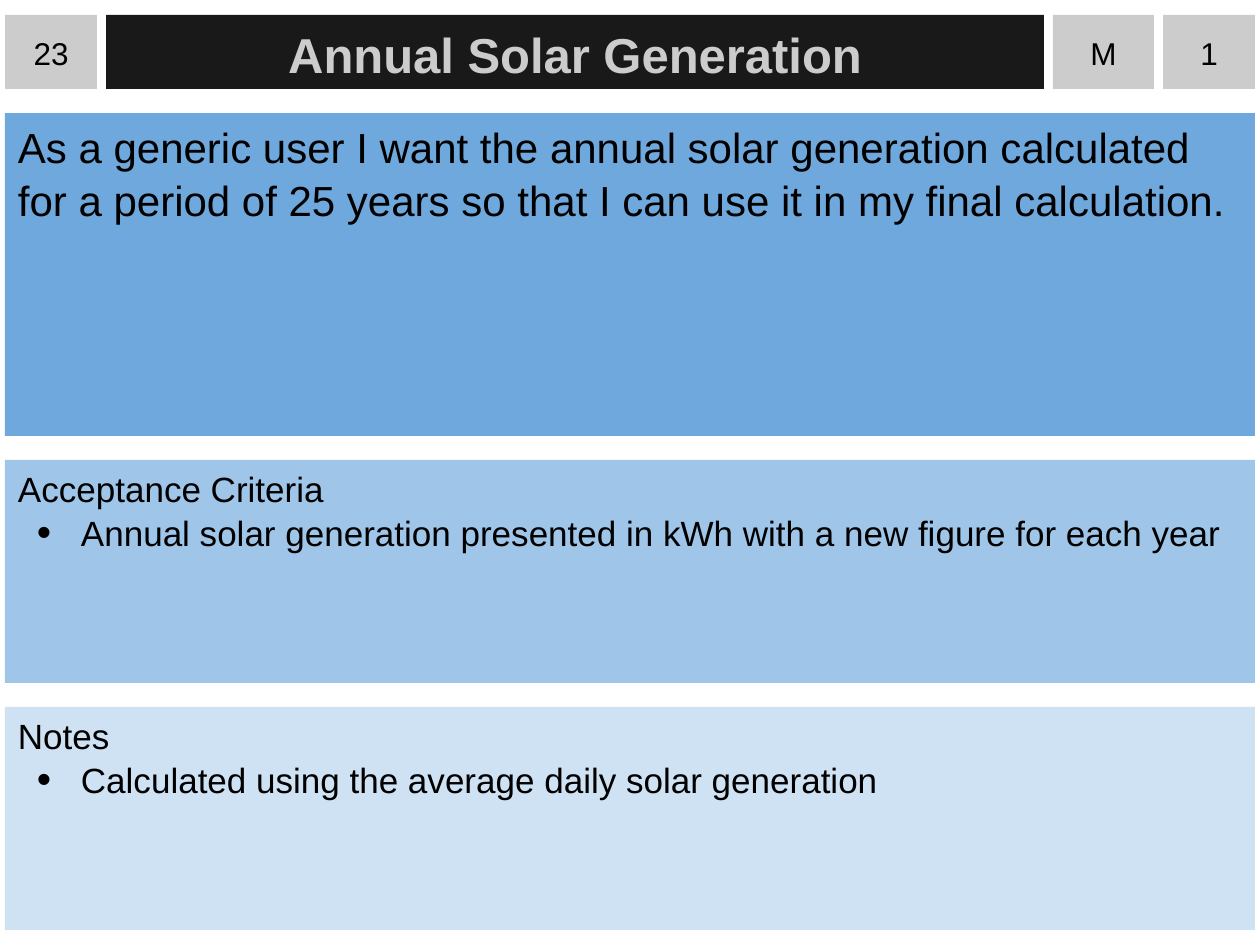
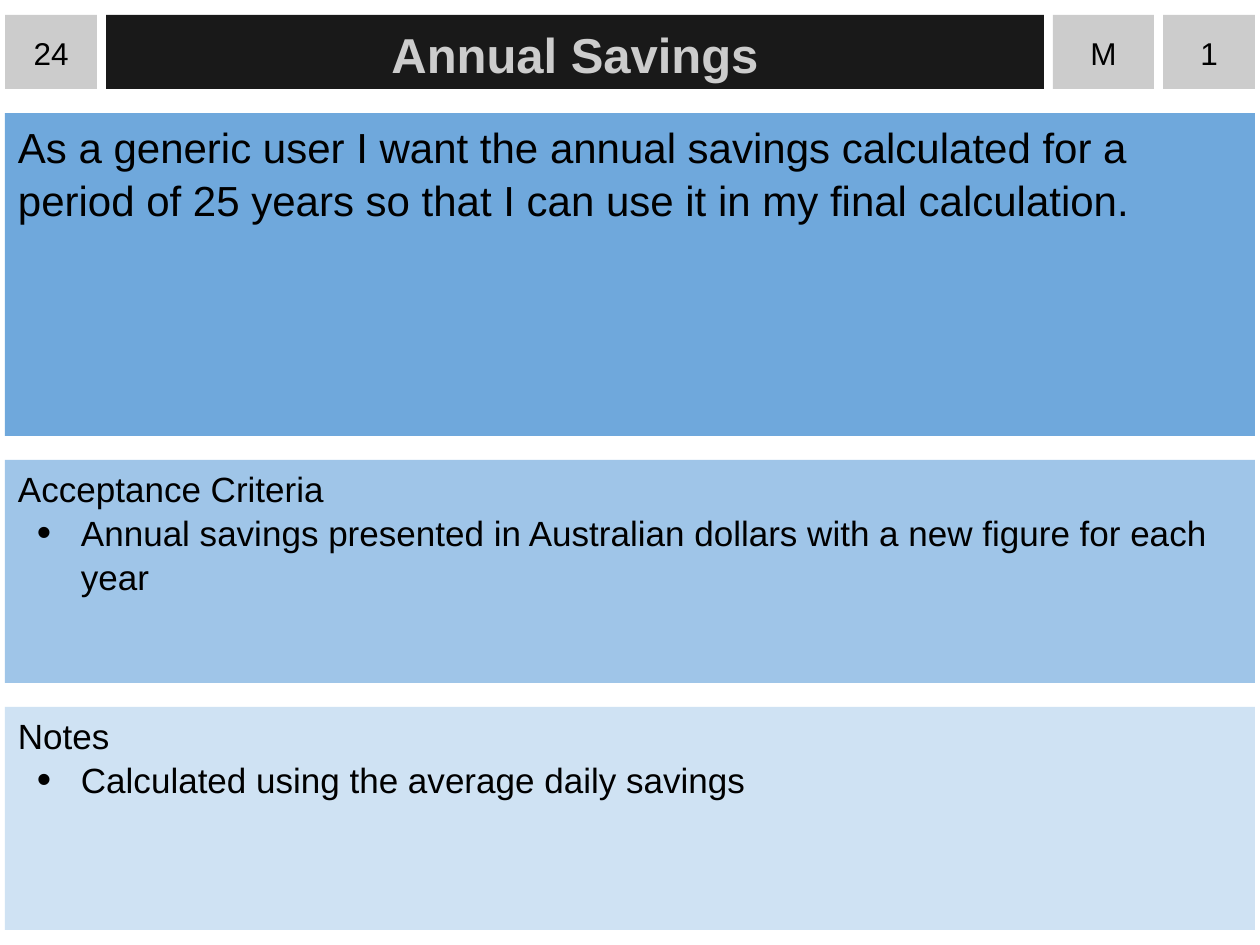
from lxml import etree
from pptx import Presentation
from pptx import util as u
from pptx.dml.color import RGBColor
from pptx.enum import shapes, text
from pptx.oxml import ns

PX = u.Inches(1) / 126
FONT = "Arial"
BLACK = RGBColor(0x00, 0x00, 0x00)
CHARCOAL = RGBColor(0x19, 0x19, 0x19)
GREY = RGBColor(0xCC, 0xCC, 0xCC)
STORY_BLUE = RGBColor(0x6F, 0xA8, 0xDC)
CRITERIA_BLUE = RGBColor(0x9F, 0xC5, 0xE8)
NOTES_BLUE = RGBColor(0xCF, 0xE2, 0xF3)

LEFT, WIDTH = 5, 1250
HEADER_TOP, HEADER_HEIGHT, HEADER_GAP = 15, 74, 9
PANEL_GAP = 24
STORY_HEIGHT, LIST_HEIGHT = 323, 223
BADGE_WIDTH, TITLE_WIDTH, PRIORITY_WIDTH = 92, 938, 101

CARDS = [
    {
        "number": "23",
        "title": "Annual Solar Generation",
        "priority": "M",
        "points": "1",
        "story": "As a generic user I want the annual solar generation calculated "
                 "for a period of 25 years so that I can use it in my final calculation.",
        "criteria": ["Annual solar generation presented in kWh with a new figure for each year"],
        "notes": ["Calculated using the average daily solar generation"],
    },
    {
        "number": "24",
        "title": "Annual Savings",
        "priority": "M",
        "points": "1",
        "story": "As a generic user I want the annual savings calculated "
                 "for a period of 25 years so that I can use it in my final calculation.",
        "criteria": ["Annual savings presented in Australian dollars with a new figure for each year"],
        "notes": ["Calculated using the average daily savings"],
    },
]


def px(length):
    """Turn a length in px into EMU."""
    return u.Emu(round(length * PX))


def add_box(page, left, top, width, height, fill, side_inset=13, top_inset=6):
    """Add a plain filled rectangle ready to hold text."""
    box = page.shapes.add_shape(
        shapes.MSO_SHAPE.RECTANGLE, px(left), px(top), px(width), px(height))
    box.shadow.inherit = False
    box.fill.solid()
    box.fill.fore_color.rgb = fill
    box.line.fill.background()
    frame = box.text_frame
    frame.word_wrap = True
    frame.margin_left = frame.margin_right = px(side_inset)
    frame.margin_top, frame.margin_bottom = px(top_inset), px(6)
    return box


def write_lines(box, lines, size, color=BLACK, bold=False,
                align=text.PP_ALIGN.LEFT, anchor=text.MSO_ANCHOR.TOP):
    """Write one paragraph per line and format its runs."""
    frame = box.text_frame
    frame.text = "\n".join(lines)
    frame.vertical_anchor = anchor
    for para in frame.paragraphs:
        para.alignment = align
        para.line_spacing = 1.05
        for span in para.runs:
            span.font.name = FONT
            span.font.size = u.Pt(size)
            span.font.bold = bold
            span.font.color.rgb = color


def add_bullet(para):
    """Give a paragraph a hanging black bullet."""
    properties = para._p.get_or_add_pPr()
    properties.set("marL", str(px(63)))
    properties.set("indent", str(px(-44)))
    color = etree.SubElement(properties, ns.qn("a:buClr"))
    etree.SubElement(color, ns.qn("a:srgbClr"), val=str(BLACK))
    etree.SubElement(properties, ns.qn("a:buSzPct"), val="117000")
    etree.SubElement(properties, ns.qn("a:buFont"), typeface=FONT)
    etree.SubElement(properties, ns.qn("a:buChar"), char="•")


def add_header(page, card):
    """Lay the number, title, priority and points in one row."""
    cells = [
        (card["number"], BADGE_WIDTH, False),
        (card["title"], TITLE_WIDTH, True),
        (card["priority"], PRIORITY_WIDTH, False),
        (card["points"], BADGE_WIDTH, False),
    ]
    left = LEFT
    for label, width, is_title in cells:
        box = add_box(page, left, HEADER_TOP, width, HEADER_HEIGHT,
                      CHARCOAL if is_title else GREY, 13 if is_title else 0)
        write_lines(box, [label], 28 if is_title else 18,
                    GREY if is_title else BLACK, is_title,
                    text.PP_ALIGN.CENTER, text.MSO_ANCHOR.MIDDLE)
        left += width + HEADER_GAP


def add_list_panel(page, top, fill, heading, items):
    """Add a panel with a heading and bulleted items."""
    box = add_box(page, LEFT, top, WIDTH, LIST_HEIGHT, fill, top_inset=5)
    write_lines(box, [heading, *items], 20)
    for para in box.text_frame.paragraphs[1:]:
        add_bullet(para)


def add_card(deck, card):
    """Add one user story card as a slide."""
    page = deck.slides.add_slide(deck.slide_layouts[6])
    add_header(page, card)
    top = HEADER_TOP + HEADER_HEIGHT + PANEL_GAP
    story = add_box(page, LEFT, top, WIDTH, STORY_HEIGHT, STORY_BLUE)
    write_lines(story, [card["story"]], 24)
    top += STORY_HEIGHT + PANEL_GAP
    add_list_panel(page, top, CRITERIA_BLUE, "Acceptance Criteria", card["criteria"])
    top += LIST_HEIGHT + PANEL_GAP
    add_list_panel(page, top, NOTES_BLUE, "Notes", card["notes"])


def main():
    """Build the deck of story cards."""
    deck = Presentation()
    deck.slide_width, deck.slide_height = px(1260), px(945)
    for card in CARDS:
        add_card(deck, card)
    deck.save("out.pptx")


if __name__ == "__main__":
    main()
